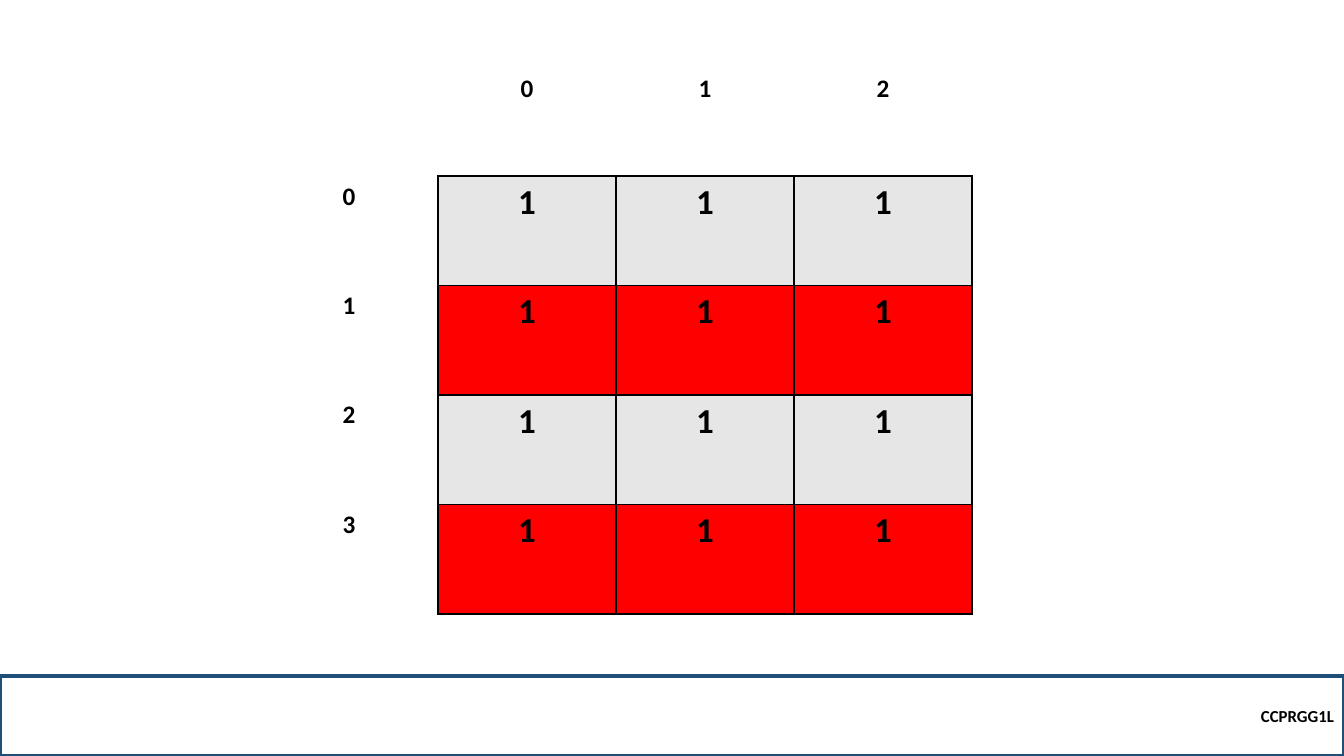
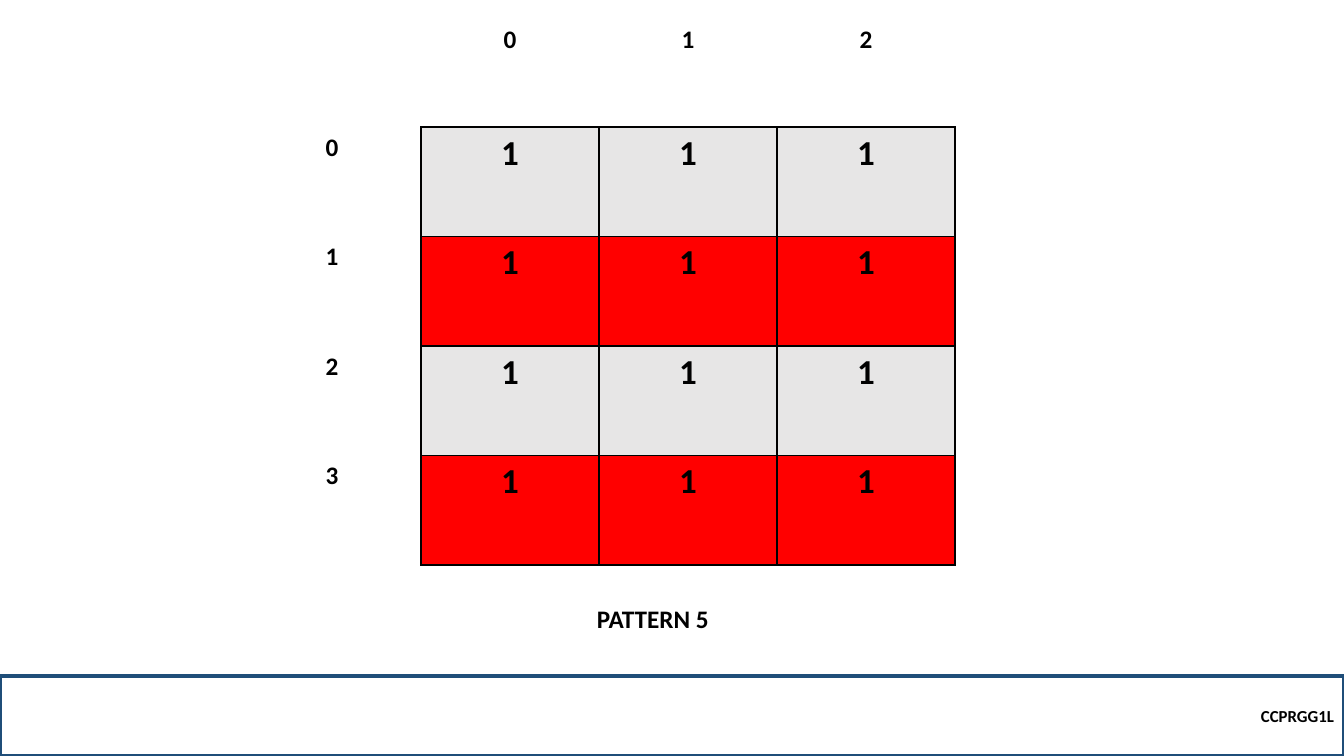
from dataclasses import dataclass

from lxml import etree
from pptx import Presentation
from pptx.dml.color import RGBColor
from pptx.enum.shapes import MSO_SHAPE
from pptx.enum.text import MSO_ANCHOR, MSO_AUTO_SIZE, PP_ALIGN
from pptx.oxml.ns import qn
from pptx.util import Emu, Pt

RECTANGLE = MSO_SHAPE.RECTANGLE
MIDDLE = MSO_ANCHOR.MIDDLE
FIT_SHAPE = MSO_AUTO_SIZE.SHAPE_TO_FIT_TEXT
LEFT, CENTER, RIGHT = PP_ALIGN.LEFT, PP_ALIGN.CENTER, PP_ALIGN.RIGHT

SCALE = 914400 / 100.8
SLIDE_WIDTH, SLIDE_HEIGHT = 1344, 756
BAND_TOP = 676
COLUMN_WIDTH = 178
HEADER_HEIGHT, BODY_HEIGHT = 108, 438
EDGES = ("L", "R", "T", "B")

PATTERN = [[1, 1, 1] for _ in range(4)]


@dataclass(frozen=True)
class Theme:
    font: str = "Calibri"
    ink: str = "000000"
    band_line: str = "1F4E79"
    even_row: str = "E7E6E6"
    odd_row: str = "FF0000"
    footer_size: int = 12
    label_size: int = 18
    value_size: int = 25
    band_weight: float = 2.25
    grid_weight: float = 1


THEME = Theme()


def px(pixels):
    return Emu(round(pixels * SCALE))


def write(frame, text, size, align):
    frame.text = text
    paragraph = frame.paragraphs[0]
    paragraph.alignment = align
    font = paragraph.font
    font.name = THEME.font
    font.size = Pt(size)
    font.bold = True
    font.color.rgb = RGBColor.from_string(THEME.ink)


def set_borders(cell, drawn_edges):
    properties = cell._tc.get_or_add_tcPr()
    for position, edge in enumerate(EDGES):
        border = etree.Element(qn(f"a:ln{edge}"), w=str(Pt(THEME.grid_weight)))
        if edge in drawn_edges:
            fill = etree.SubElement(border, qn("a:solidFill"))
            etree.SubElement(fill, qn("a:srgbClr"), val=THEME.ink)
        else:
            etree.SubElement(border, qn("a:noFill"))
        properties.insert(position, border)


def add_footer_band(slide, course):
    band = slide.shapes.add_shape(
        RECTANGLE, 0, px(BAND_TOP), px(SLIDE_WIDTH), px(SLIDE_HEIGHT - BAND_TOP)
    )
    band.shadow.inherit = False
    band.fill.background()
    band.line.color.rgb = RGBColor.from_string(THEME.band_line)
    band.line.width = Pt(THEME.band_weight)
    band.text_frame.vertical_anchor = MIDDLE
    write(band.text_frame, course, THEME.footer_size, RIGHT)


def fill_label(cell, text, drawn_edges):
    cell.fill.background()
    set_borders(cell, drawn_edges)
    write(cell.text_frame, text, THEME.label_size, CENTER)


def fill_value(cell, value, color):
    cell.fill.solid()
    cell.fill.fore_color.rgb = RGBColor.from_string(color)
    set_borders(cell, EDGES)
    write(cell.text_frame, str(value), THEME.value_size, CENTER)


def add_indexed_grid(slide, left, top, values):
    row_count, column_count = len(values), len(values[0])
    grid = slide.shapes.add_table(
        row_count + 1, column_count + 1, px(left), px(top),
        px(COLUMN_WIDTH * (column_count + 1)), px(HEADER_HEIGHT + BODY_HEIGHT),
    ).table
    grid.first_row = grid.horz_banding = False
    for column in grid.columns:
        column.width = px(COLUMN_WIDTH)
    for row in grid.rows:
        row.height = px(BODY_HEIGHT / row_count)
    grid.rows[0].height = px(HEADER_HEIGHT)

    fill_label(grid.cell(0, 0), "", ())
    for column_index in range(column_count):
        fill_label(grid.cell(0, column_index + 1), str(column_index), ("B",))
    for row_index, row_values in enumerate(values):
        fill_label(grid.cell(row_index + 1, 0), str(row_index), ("R",))
        color = THEME.odd_row if row_index % 2 else THEME.even_row
        for column_index, value in enumerate(row_values):
            fill_value(grid.cell(row_index + 1, column_index + 1), value, color)


def add_caption(slide, text, left, top, width, height):
    caption = slide.shapes.add_textbox(px(left), px(top), px(width), px(height))
    caption.text_frame.word_wrap = True
    caption.text_frame.auto_size = FIT_SHAPE
    write(caption.text_frame, text, THEME.label_size, LEFT)


def add_pattern_slide(deck, left, top):
    slide = deck.slides.add_slide(deck.slide_layouts.get_by_name("Blank"))
    add_footer_band(slide, "CCPRGG1L")
    add_indexed_grid(slide, left, top, PATTERN)
    return slide


def main():
    deck = Presentation()
    deck.slide_width, deck.slide_height = px(SLIDE_WIDTH), px(SLIDE_HEIGHT)
    add_pattern_slide(deck, 260, 68)
    captioned = add_pattern_slide(deck, 243, 19)
    add_caption(captioned, "PATTERN 5", 587, 598, 171, 40)
    deck.save("out.pptx")


main()
